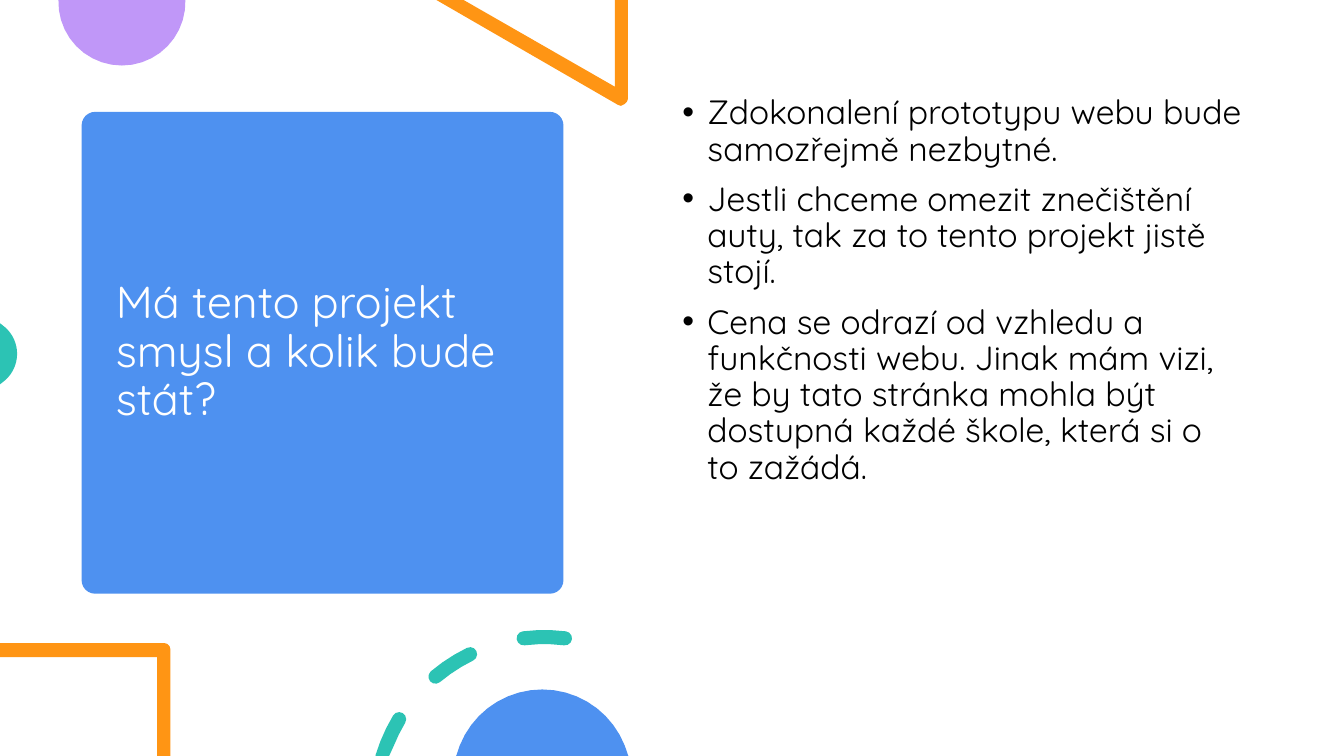
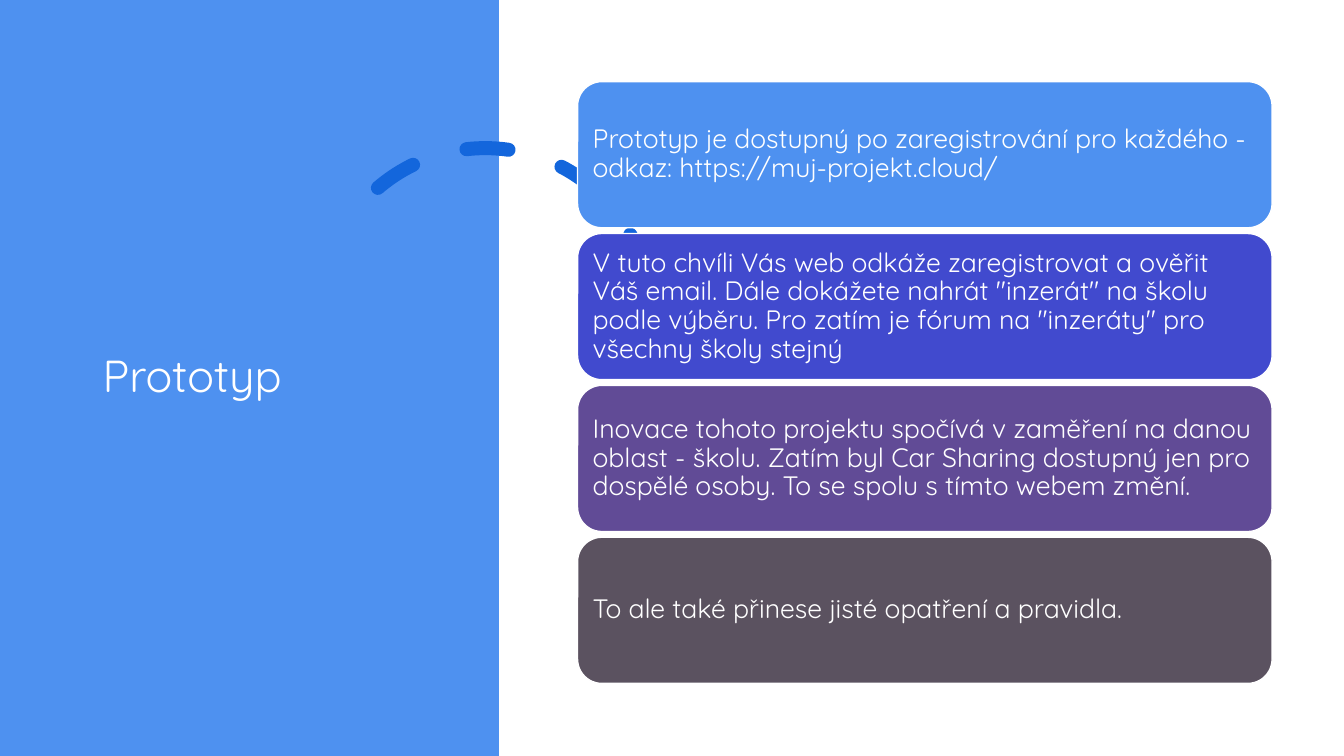
import math
from dataclasses import dataclass

import lxml.etree
import pptx
import pptx.dml.color
import pptx.enum.dml
import pptx.enum.shapes
import pptx.enum.text
import pptx.oxml
import pptx.oxml.ns
import pptx.util

Inches = pptx.util.Inches
SHAPES = pptx.enum.shapes.MSO_SHAPE
ANCHOR = pptx.enum.text.MSO_ANCHOR
SLIDE_WIDTH, SLIDE_HEIGHT = 40 / 3, 7.5


@dataclass(frozen=True)
class Theme:
    font: str = "Quicksand"
    title_size: int = 32
    body_size: int = 24
    card_size: int = 19
    line_spacing: float = 0.9
    white: str = "FFFFFF"
    black: str = "000000"
    blue: str = "4E91F0"
    dark_blue: str = "1366DC"
    purple: str = "C097F8"
    orange: str = "FF9514"
    teal: str = "2CC3B4"
    cards: tuple = ("4E91F0", "414ACE", "614B96", "5B5260")


THEME = Theme()

BULLETS = (
    "Zdokonalení prototypu webu bude samozřejmě nezbytné.",
    "Jestli chceme omezit znečištění auty, tak za to tento projekt jistě stojí.",
    "Cena se odrazí od vzhledu a funkčnosti webu. Jinak mám vizi, že by tato "
    "stránka mohla být dostupná každé škole, která si o to zažádá.",
)
CARDS = (
    "Prototyp je dostupný po zaregistrování pro každého - odkaz: "
    "https://muj-projekt.cloud/",
    "V tuto chvíli Vás web odkáže zaregistrovat a ověřit Váš email. Dále "
    "dokážete nahrát \"inzerát\" na školu podle výběru. Pro zatím je fórum na "
    "\"inzeráty\" pro všechny školy stejný",
    "Inovace tohoto projektu spočívá v zaměření na danou oblast - školu. Zatím "
    "byl Car Sharing dostupný jen pro dospělé osoby. To se spolu s tímto webem "
    "změní.",
    "To ale také přinese jisté opatření a pravidla.",
)


def rgb(value):
    return pptx.dml.color.RGBColor.from_string(value)


def set_attributes(target, values):
    for name, value in values.items():
        setattr(target, name, value)


# Text
def write_text(shape, paragraphs, size, color, anchor, inset=None, space_before=0):
    frame = shape.text_frame
    set_attributes(frame, {"word_wrap": True, "vertical_anchor": anchor})
    if inset is not None:
        sides = ("left", "top", "right", "bottom")
        set_attributes(frame, {f"margin_{side}": Inches(inset) for side in sides})
    for index, text in enumerate(paragraphs):
        paragraph = frame.add_paragraph() if index else frame.paragraphs[0]
        set_attributes(paragraph, {
            "alignment": pptx.enum.text.PP_ALIGN.LEFT,
            "line_spacing": THEME.line_spacing,
            "space_before": pptx.util.Pt(space_before),
        })
        run = paragraph.add_run()
        run.text = text
        set_attributes(run.font, {"name": THEME.font, "size": pptx.util.Pt(size)})
        run.font.color.rgb = rgb(color)


def add_title(slide, text, box):
    title = slide.shapes.add_textbox(*map(Inches, box))
    write_text(title, [text], THEME.title_size, THEME.white, ANCHOR.MIDDLE)


def add_bullets(slide, items, box, indent=0.25):
    body = slide.shapes.add_textbox(*map(Inches, box))
    write_text(body, items, THEME.body_size, THEME.black, ANCHOR.TOP, space_before=10)
    for paragraph in body.text_frame.paragraphs:
        properties = paragraph._p.get_or_add_pPr()
        properties.set("marL", str(Inches(indent)))
        properties.set("indent", str(Inches(-indent)))
        for tag, name, value in (("a:buFont", "typeface", "Arial"),
                                 ("a:buChar", "char", "•")):
            element = lxml.etree.SubElement(properties, pptx.oxml.ns.qn(tag))
            element.set(name, value)


# Shapes
def paint(shape, color):
    shape.shadow.inherit = False
    shape.fill.solid()
    shape.fill.fore_color.rgb = rgb(color)
    shape.line.fill.background()


def add_panel(slide, preset, box, color, corner=None):
    panel = slide.shapes.add_shape(preset, *map(Inches, box))
    paint(panel, color)
    if corner is not None:
        panel.adjustments[0] = corner
    return panel


def add_outline(slide, contours, color):
    """Draw closed polygons as one shape, cut off at the slide edges."""
    builder = None
    for contour in contours:
        points = [(Inches(min(max(x, 0), SLIDE_WIDTH)), Inches(min(max(y, 0), SLIDE_HEIGHT)))
                  for x, y in contour]
        if builder is None:
            builder = slide.shapes.build_freeform(*points[0], scale=1.0)
        else:
            builder.move_to(*points[0])
        builder.add_line_segments(points[1:], close=True)
    paint(builder.convert_to_shape(), color)


def arc_points(center, radius, start, end, steps):
    """Points on an arc; degrees run clockwise from the left."""
    angles = (math.radians(start + (end - start) * step / steps)
              for step in range(steps + 1))
    return [(center[0] - radius * math.cos(angle), center[1] - radius * math.sin(angle))
            for angle in angles]


def add_disc_part(slide, center, radius, start, end, color):
    add_outline(slide, [arc_points(center, radius, start, end, 20)], color)


def dash_points(center, radius, start, end, half_width):
    """Outline of a curved dash with round ends."""
    start_cap, end_cap = (arc_points(center, radius, angle, angle, 1)[0]
                          for angle in (start, end))
    return (arc_points(center, radius + half_width, start, end, 3)
            + arc_points(end_cap, half_width, end, end + 180, 6)[1:-1]
            + arc_points(center, radius - half_width, end, start, 3)
            + arc_points(start_cap, half_width, start + 180, start + 360, 6)[1:-1])


def add_dashed_arc(slide, box, rotation, start, color, width):
    arc = slide.shapes.add_shape(SHAPES.ARC, *map(Inches, box))
    arc.shadow.inherit = False
    arc.fill.background()
    arc.rotation = rotation
    arc.adjustments[0] = start
    arc.adjustments[1] = 0
    arc.line.color.rgb = rgb(color)
    set_attributes(arc.line, {
        "width": pptx.util.Pt(width),
        "dash_style": pptx.enum.dml.MSO_LINE_DASH_STYLE.DASH,
    })
    arc.line._get_or_add_ln().set("cap", "rnd")


def add_cards(slide, texts, left, top, width, height, bottom):
    pitch = (bottom - top - height) / (len(texts) - 1)
    for index, (text, color) in enumerate(zip(texts, THEME.cards)):
        box = (left, top + index * pitch, width, height)
        card = add_panel(slide, SHAPES.ROUNDED_RECTANGLE, box, color)
        card.line.color.rgb = rgb(THEME.white)
        card.line.width = pptx.util.Pt(1)
        write_text(card, [text], THEME.card_size, THEME.white, ANCHOR.MIDDLE, inset=0.08)


# Slides
def build_question_slide(slide):
    add_panel(slide, SHAPES.ROUNDED_RECTANGLE, (0.81, 1.11, 4.78, 4.78), THEME.blue, 0.028)
    add_title(slide, "Má tento projekt smysl a kolik bude stát?", (1.05, 1.22, 4.31, 4.56))

    # Ornaments at the top and left edges
    add_disc_part(slide, (1.21, 0.02), 0.63, 178, 362, THEME.purple)
    add_outline(slide, [[(6.23, 0), (6.1, 0), (6.1, 0.86), (4.6, 0), (4.33, 0), (6.13, 1.04),
                         (6.16, 1.05), (6.2, 1.03), (6.22, 1.01), (6.23, 0.98)]], THEME.orange)
    add_disc_part(slide, (-0.18, 3.51), 0.35, 120, 240, THEME.teal)

    add_bullets(slide, BULLETS, (6.67, 0.9, 5.75, 5.35))

    # Ornaments at the bottom edge
    corner = arc_points((1.63, 6.44), 0.06, 90, 180, 3)
    add_outline(slide, [[(0, 6.38), *corner, (1.69, 7.5), (1.56, 7.5), (1.56, 6.52),
                         (0, 6.52)]], THEME.orange)
    dashes = [dash_points((5.4, 8), 1.68, start, start + 14, 0.07)
              for start in range(17, 84, 33)]
    add_outline(slide, dashes, THEME.teal)
    add_disc_part(slide, (5.38, 7.72), 0.88, 14, 166, THEME.blue)


def build_prototype_slide(slide):
    add_panel(slide, SHAPES.RECTANGLE, (0, 0, 4.95, SLIDE_HEIGHT), THEME.blue)
    add_dashed_arc(slide, (3.18, 1.47, 3.27, 3.27), 345.8, 146.13, THEME.dark_blue, 10)
    add_title(slide, "Prototyp", (0.92, 0.7, 3.23, 6.09))
    add_cards(slide, CARDS, left=5.73, top=0.81, width=6.89, height=1.45, bottom=6.78)


def main():
    presentation = pptx.Presentation()
    set_attributes(presentation, {
        "slide_width": Inches(SLIDE_WIDTH),
        "slide_height": Inches(SLIDE_HEIGHT),
    })
    for build in (build_question_slide, build_prototype_slide):
        slide = presentation.slides.add_slide(presentation.slide_layouts[6])
        # White backdrop shared by the slides
        add_panel(slide, SHAPES.RECTANGLE, (0, 0, SLIDE_WIDTH, SLIDE_HEIGHT), THEME.white)
        build(slide)
    presentation.save("out.pptx")


if __name__ == "__main__":
    main()
